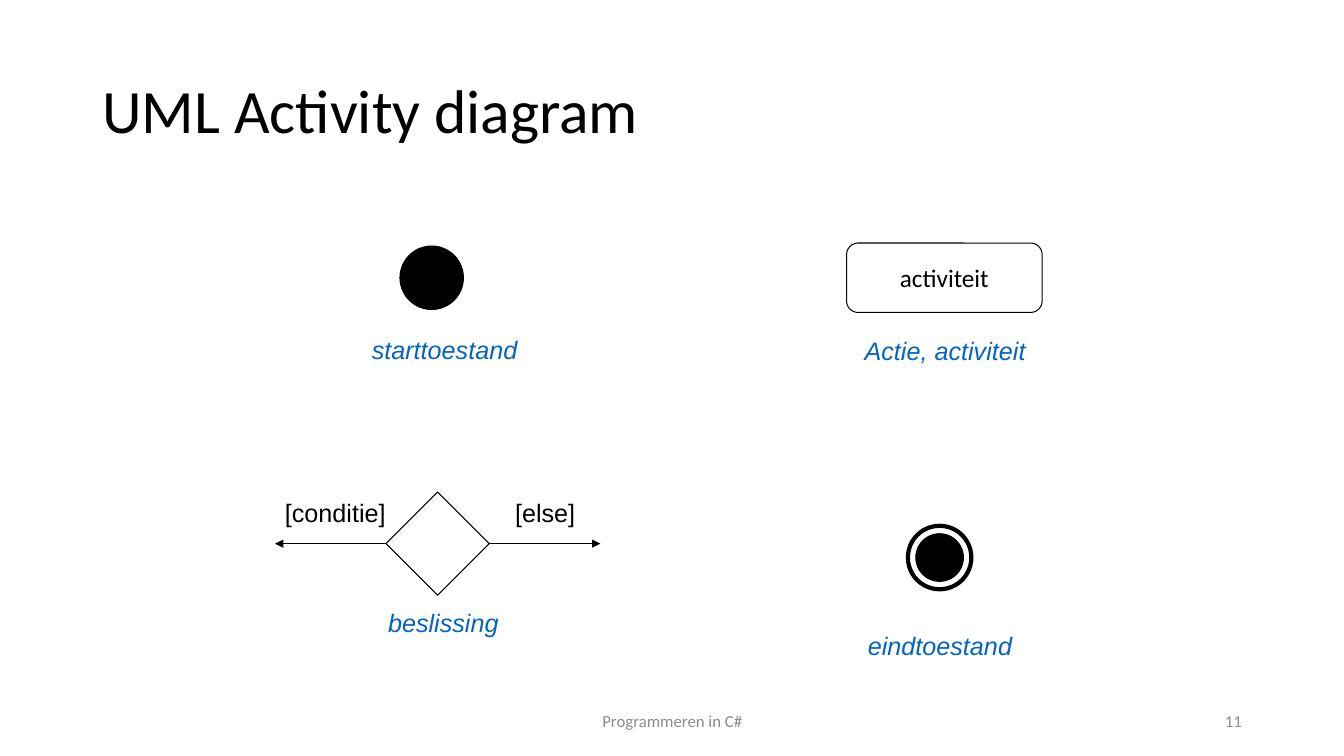
from lxml.etree import SubElement
from pptx import Presentation
from pptx.dml.color import RGBColor as RGB
from pptx.enum.shapes import MSO_CONNECTOR as LINE, MSO_SHAPE as SHAPE
from pptx.enum.text import MSO_ANCHOR as ANCHOR, MSO_AUTO_SIZE as FIT, PP_ALIGN as ALIGN
from pptx.oxml.ns import qn
from pptx.util import Cm, Pt

COLORS = {"ink": "000000", "paper": "FFFFFF", "label": "0563C1", "foot": "8C8C8C"}


def color(name):
    return RGB.from_string(COLORS[name])


class Board:
    """Holds the style and the slide being drawn."""
    head, body, thin = "Calibri", "Arial", 0.75

    def __init__(self, slide):
        self.slide = slide
        self.shapes = slide.shapes

    def text(self, frame, words, size, font, ink, align=ALIGN.LEFT, italic=False):
        para = frame.paragraphs[0]
        para.alignment = align
        run = para.add_run()
        run.text = words
        run.font.size, run.font.name = Pt(size), font
        run.font.italic = italic
        run.font.color.rgb = color(ink)
        return para

    def field(self, words, box, size, ink, align=ALIGN.LEFT):
        """Add a wrapped, vertically centred text box."""
        frame = self.shapes.add_textbox(*map(Cm, box)).text_frame
        frame.word_wrap = True
        frame.vertical_anchor = ANCHOR.MIDDLE
        return self.text(frame, words, size, self.head, ink, align)

    def label(self, words, x, y, wide, ink="label", italic=True):
        frame = self.shapes.add_textbox(Cm(x), Cm(y), Cm(wide), Cm(1.02)).text_frame
        frame.word_wrap = False
        frame.auto_size = FIT.SHAPE_TO_FIT_TEXT
        self.text(frame, words, 18, self.body, ink, italic=italic)

    def shape(self, kind, mid, wide, high, fill="paper", line=thin):
        """Add a preset shape around its centre."""
        x, y = mid
        item = self.shapes.add_shape(
            kind, Cm(x - wide / 2), Cm(y - high / 2), Cm(wide), Cm(high))
        item.shadow.inherit = False
        item.fill.solid()
        item.fill.fore_color.rgb = color(fill)
        item.line.color.rgb = color("ink")
        item.line.width = Pt(line)
        return item

    def disc(self, mid, size, fill="ink", line=thin):
        self.shape(SHAPE.OVAL, mid, size, size, fill, line)

    def action(self, words, mid, wide, high):
        frame = self.shape(SHAPE.ROUNDED_RECTANGLE, mid, wide, high).text_frame
        frame.word_wrap = False
        frame.vertical_anchor = ANCHOR.MIDDLE
        self.text(frame, words, 18, self.head, "ink", ALIGN.CENTER)

    def arrow(self, x, y, span):
        """Draw a level arrow; a negative span points left."""
        item = self.shapes.add_connector(
            LINE.STRAIGHT, Cm(x), Cm(y), Cm(x + span), Cm(y))
        item.line.color.rgb = color("ink")
        item.line.width = Pt(self.thin)
        props = item._element.spPr
        SubElement(props.find(qn("a:ln")), qn("a:tailEnd"), type="triangle")
        SubElement(props, qn("a:effectLst"))

    def choice(self, mid, size, reach):
        """Draw a diamond with an arrow leaving each side."""
        self.shape(SHAPE.DIAMOND, mid, size, size)
        for side in (1, -1):
            self.arrow(mid[0] + side * size / 2, mid[1], side * reach)


def main():
    deck = Presentation()
    deck.slide_width, deck.slide_height = Cm(33.87), Cm(19.05)
    board = Board(deck.slides.add_slide(deck.slide_layouts[6]))

    title = board.field("UML Activity diagram", (2.33, 1.02, 29.21, 3.68), 44, "ink")
    title.line_spacing = 0.9
    board.field("Programmeren in C#", (11.23, 17.65, 11.43, 1.02), 12, "foot", ALIGN.CENTER)
    board.field("11", (23.93, 17.65, 7.62, 1.02), 12, "foot", ALIGN.RIGHT)

    board.disc((10.88, 7), 1.6)
    board.label("starttoestand", 9.12, 8.31, 4.19)

    board.action("activiteit", (23.8, 7), 4.93, 1.75)
    board.label("Actie, activiteit", 21.54, 8.33, 4.57)

    board.choice((11.03, 13.7), 2.6, 2.8)
    board.label("[conditie]", 6.93, 12.4, 3.05, "ink", False)
    board.label("[else]", 12.73, 12.4, 2.03, "ink", False)
    board.label("beslissing", 9.53, 15.19, 3.3)

    end = (23.68, 14.05)
    board.disc(end, 1.6, "paper", 3)
    board.disc(end, 1.2)
    board.label("eindtoestand", 21.62, 15.77, 4.14)

    deck.save("out.pptx")


if __name__ == "__main__":
    main()
